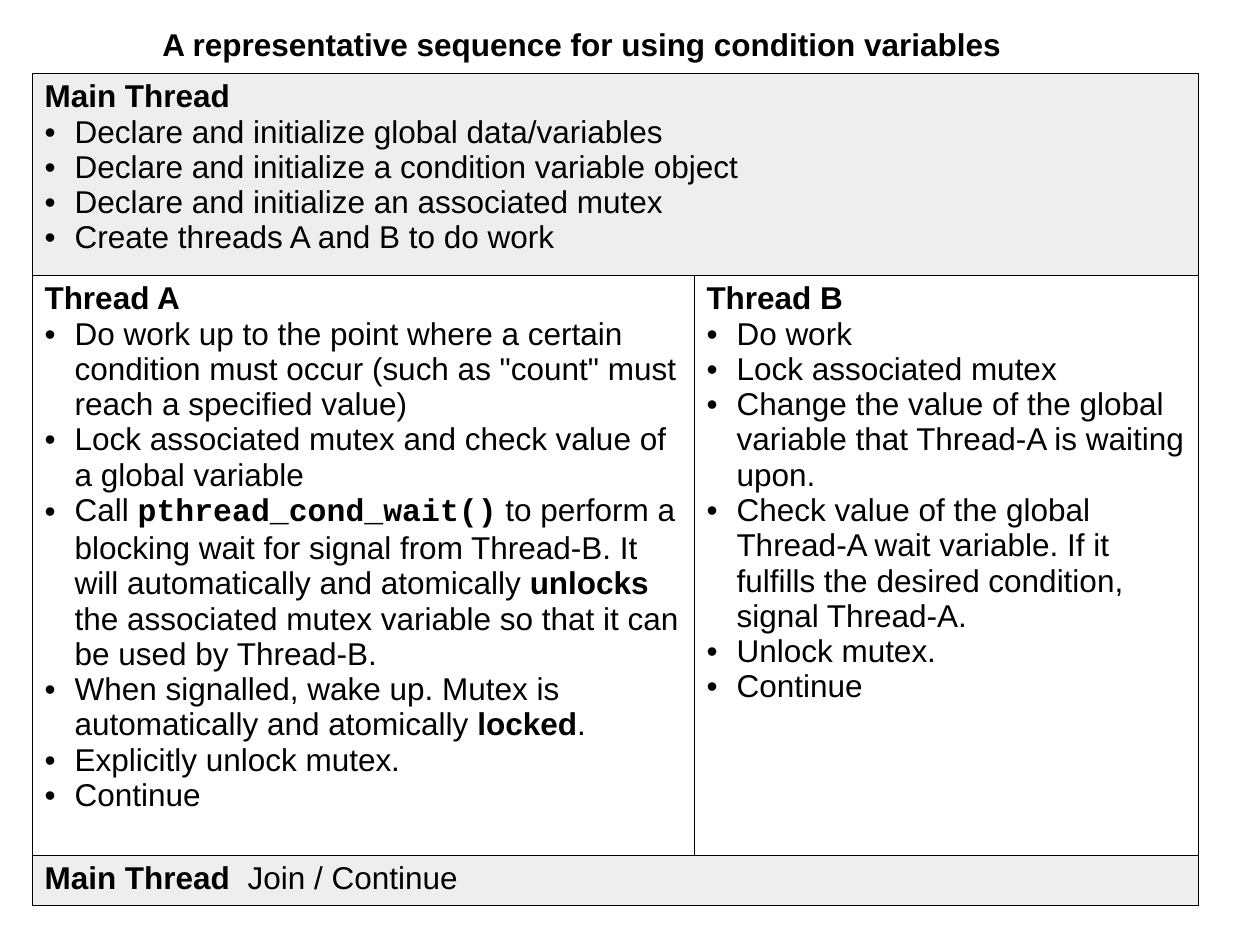
from lxml.etree import SubElement
from pptx import Presentation
from pptx.dml.color import RGBColor
from pptx.enum.text import MSO_ANCHOR, PP_ALIGN
from pptx.oxml.ns import qn
from pptx.util import Pt

PX = 914400 // 126
BLACK, GRAY = "000000", "EEEEEE"
PLAIN = {"name": "Arial", "size": Pt(18), "bold": False}
BOLD = PLAIN | {"bold": True}
CODE = BOLD | {"name": "Courier New"}
COLUMNS = (662, 504)
ROWS = (202, 580, 50)
INDENT = 30

MAIN_STEPS = [
    "Declare and initialize global data/variables",
    "Declare and initialize a condition variable object",
    "Declare and initialize an associated mutex",
    "Create threads A and B to do work",
]
# A step is either plain text or a list of (text, format) runs.
THREAD_A_STEPS = [
    'Do work up to the point where a certain condition must occur '
    '(such as "count" must reach a specified value)',
    "Lock associated mutex and check value of a global variable",
    [("Call ", PLAIN), ("pthread_cond_wait()", CODE),
     (" to perform a blocking wait for signal from Thread-B. "
      "It will automatically and atomically ", PLAIN),
     ("unlocks", BOLD),
     (" the associated mutex variable so that it can be used by Thread-B.", PLAIN)],
    [("When signalled, wake up. Mutex is automatically and atomically ", PLAIN),
     ("locked", BOLD), (".", PLAIN)],
    "Explicitly unlock mutex.",
    "Continue",
]
THREAD_B_STEPS = [
    "Do work",
    "Lock associated mutex",
    "Change the value of the global variable that Thread-A is waiting upon.",
    "Check value of the global Thread-A wait variable. "
    "If it fulfills the desired condition, signal Thread-A.",
    "Unlock mutex.",
    "Continue",
]


def px(n):
    return n * PX


def color(value):
    return RGBColor.from_string(value)


def add_runs(p, runs):
    for text, fmt in runs:
        r = p.add_run()
        r.text = text
        for key, value in fmt.items():
            setattr(r.font, key, value)
        r.font.color.rgb = color(BLACK)


def add_bullet(p):
    pPr = p._p.get_or_add_pPr()
    pPr.set("marL", str(px(INDENT)))
    pPr.set("indent", str(-px(INDENT)))
    SubElement(pPr, qn("a:buFont"), typeface="Arial")
    SubElement(pPr, qn("a:buChar"), char="•")


def add_borders(cell):
    tcPr = cell._tc.get_or_add_tcPr()
    for side in ("lnL", "lnR", "lnT", "lnB"):
        ln = SubElement(tcPr, qn(f"a:{side}"), w=str(Pt(0.34)))
        fill = SubElement(ln, qn("a:solidFill"))
        SubElement(fill, qn("a:srgbClr"), val=BLACK)


def fill_cell(cell, heading, steps=()):
    """Write a heading, given as runs, and a bullet for each step."""
    tf = cell.text_frame
    add_runs(tf.paragraphs[0], heading)
    for step in steps:
        p = tf.add_paragraph()
        add_bullet(p)
        add_runs(p, [(step, PLAIN)] if isinstance(step, str) else step)


def add_title(s, text):
    tf = s.shapes.add_textbox(px(63), px(19), px(1038), px(50)).text_frame
    tf.word_wrap = True
    tf.vertical_anchor = MSO_ANCHOR.MIDDLE
    p = tf.paragraphs[0]
    p.alignment = PP_ALIGN.CENTER
    add_runs(p, [(text, BOLD)])


def add_thread_table(s):
    table = s.shapes.add_table(len(ROWS), len(COLUMNS), px(32), px(73),
                               px(sum(COLUMNS)), px(sum(ROWS))).table
    table.first_row = table.horz_banding = False
    for column, width in zip(table.columns, COLUMNS):
        column.width = px(width)
    for row, height in zip(table.rows, ROWS):
        row.height = px(height)
    for i, row in enumerate(table.rows):
        for cell in row.cells:
            add_borders(cell)
            if i == 1:
                cell.fill.background()
            else:
                cell.fill.solid()
                cell.fill.fore_color.rgb = color(GRAY)
    for i in (0, 2):
        table.cell(i, 0).merge(table.cell(i, 1))
    return table


def main():
    prs = Presentation()
    prs.slide_width, prs.slide_height = px(1260), px(945)
    s = prs.slides.add_slide(prs.slide_layouts[6])
    add_title(s, "A representative sequence for using condition variables")
    table = add_thread_table(s)
    fill_cell(table.cell(0, 0), [("Main Thread", BOLD)], MAIN_STEPS)
    fill_cell(table.cell(1, 0), [("Thread A", BOLD)], THREAD_A_STEPS)
    fill_cell(table.cell(1, 1), [("Thread B", BOLD)], THREAD_B_STEPS)
    fill_cell(table.cell(2, 0), [("Main Thread", BOLD), ("  Join / Continue", PLAIN)])
    prs.save("out.pptx")


if __name__ == "__main__":
    main()
